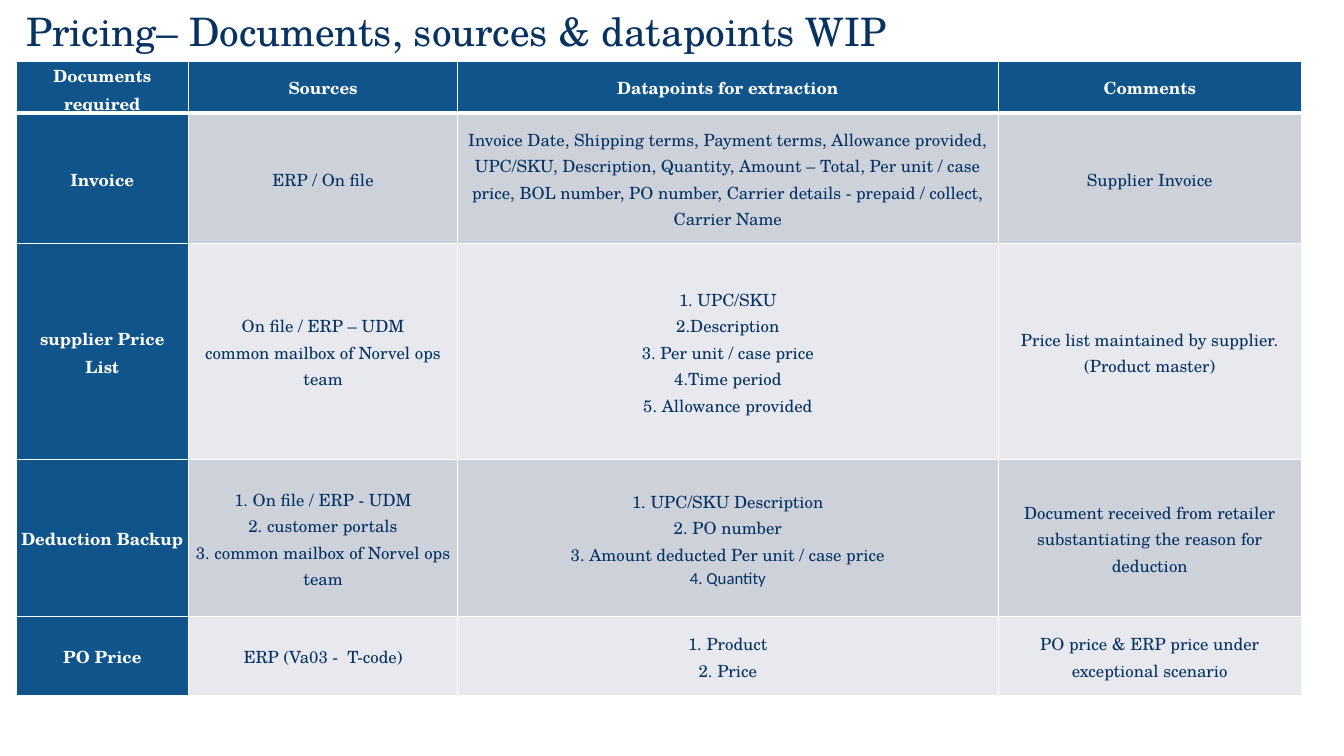
"""Build the pricing slide: documents, sources and datapoints in one table."""
from dataclasses import dataclass

from lxml import etree
from pptx import Presentation
from pptx import util as u
from pptx.dml.color import RGBColor
from pptx.enum import text
from pptx.oxml import ns

TITLE = "Pricing– Documents, sources & datapoints WIP"
HEADS = ["Documents required", "Sources", "Datapoints for extraction", "Comments"]
ROWS = [
    ["Invoice", "ERP / On file",
     "Invoice Date, Shipping terms, Payment terms, Allowance provided, "
     "UPC/SKU, Description, Quantity, Amount – Total, Per unit / case price, "
     "BOL number, PO number, Carrier details - prepaid / collect, Carrier Name",
     "Supplier Invoice"],
    ["supplier Price List",
     ["On file / ERP – UDM", "common mailbox of Norvel ops team"],
     ["1. UPC/SKU", "2.Description", "3. Per unit / case price",
      "4.Time period", "5. Allowance provided"],
     "Price list maintained by supplier. (Product master)"],
    ["Deduction Backup",
     "1. On file / ERP - UDM\n2. customer portals\n"
     "3. common mailbox of Norvel ops team",
     ["1. UPC/SKU Description", "2. PO number",
      "3. Amount deducted Per unit / case price", "4. Quantity"],
     "Document received from retailer substantiating the reason for deduction"],
    ["PO Price", "ERP (Va03 -  T-code)", "1. Product\n2. Price",
     "PO price & ERP price under exceptional scenario"],
]
WIDTHS = [1.71, 2.67, 5.36, 3.01]
HEIGHTS = [0.51, 1.3, 2.14, 1.56, 0.78]
LEFT, TOP = 0.16, 0.61


@dataclass
class Theme:
    """Hold the colours, fonts and type sizes."""
    navy: str = "073262"
    blue: str = "10548C"
    white: str = "FFFFFF"
    bands: tuple = ("CCD1DA", "E7E9EE")
    font: str = "TeX Gyre Schola"
    alt: str = "Calibri"
    big: int = 28
    body: int = 12


LOOK = Theme()


def add_run(para, words, size, color, bold=False, face=LOOK.font):
    """Add one styled run."""
    run = para.add_run()
    run.text = words
    font = run.font
    font.name, font.size, font.bold = face, u.Pt(size), bold
    font.color.rgb = RGBColor.from_string(color)


def add_edges(cell, row):
    """Draw white cell borders, heavy under the header."""
    props = cell._tc.get_or_add_tcPr()
    heavy = {"B": 0, "T": 1}
    for side in "LRTB":
        width = 3 if heavy.get(side) == row else 1
        line = etree.SubElement(props, ns.qn(f"a:ln{side}"), w=str(u.Pt(width)))
        fill = etree.SubElement(line, ns.qn("a:solidFill"))
        etree.SubElement(fill, ns.qn("a:srgbClr"), val=LOOK.white)


def fill_cell(cell, row, col, body):
    """Style one cell and write its paragraphs."""
    head = row == 0 or col == 0
    add_edges(cell, row)
    cell.fill.solid()
    cell.fill.fore_color.rgb = RGBColor.from_string(
        LOOK.blue if head else LOOK.bands[(row - 1) % 2])
    cell.margin_left = cell.margin_right = u.Inches(0.05)
    cell.margin_top = cell.margin_bottom = 0
    cell.vertical_anchor = text.MSO_ANCHOR.MIDDLE
    frame = cell.text_frame
    for i, words in enumerate([body] if isinstance(body, str) else body):
        para = frame.add_paragraph() if i else frame.paragraphs[0]
        para.alignment = text.PP_ALIGN.CENTER
        para.line_spacing = 1.07
        face = LOOK.alt if words == "4. Quantity" else LOOK.font
        for j, part in enumerate(words.split("\n")):
            if j:
                para.add_line_break()
            add_run(para, part, LOOK.body, LOOK.white if head else LOOK.navy,
                    head, face)


def add_title(slide):
    """Write the slide title."""
    box = slide.shapes.add_textbox(
        u.Inches(LEFT), u.Inches(0.07), u.Inches(11.5), u.Inches(0.42))
    frame = box.text_frame
    frame.word_wrap = True
    frame.margin_top = frame.margin_bottom = 0
    add_run(frame.paragraphs[0], TITLE, LOOK.big, LOOK.navy)


def add_grid(slide):
    """Place the table and fill it."""
    grid = slide.shapes.add_table(
        len(HEIGHTS), len(WIDTHS), u.Inches(LEFT), u.Inches(TOP),
        u.Inches(sum(WIDTHS)), u.Inches(sum(HEIGHTS))).table
    for col, width in zip(grid.columns, WIDTHS):
        col.width = u.Inches(width)
    for row, height in zip(grid.rows, HEIGHTS):
        row.height = u.Inches(height)
    for r, cells in enumerate([HEADS] + ROWS):
        for c, body in enumerate(cells):
            fill_cell(grid.cell(r, c), r, c, body)


def main():
    """Build and save the deck."""
    deck = Presentation()
    deck.slide_width, deck.slide_height = u.Inches(13.33), u.Inches(7.5)
    slide = deck.slides.add_slide(deck.slide_layouts[6])
    add_title(slide)
    add_grid(slide)
    deck.save("out.pptx")


if __name__ == "__main__":
    main()
